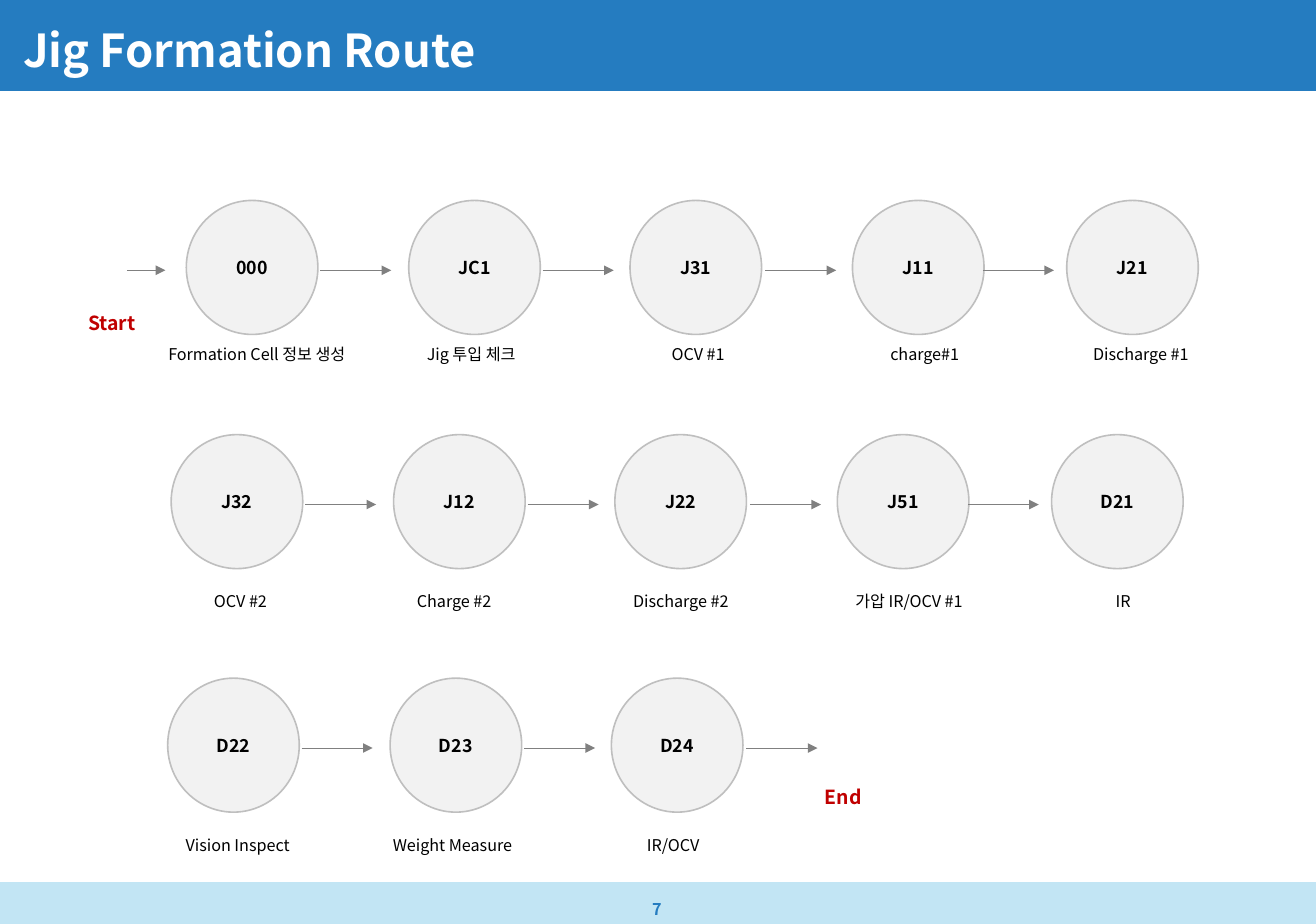
from dataclasses import dataclass

from lxml.etree import SubElement
from pptx import Presentation
from pptx.dml.color import RGBColor
from pptx.enum.shapes import MSO_CONNECTOR as Connector, MSO_SHAPE as Shape
from pptx.enum.text import MSO_ANCHOR as Anchor, MSO_AUTO_SIZE as AutoSize, PP_ALIGN as Align
from pptx.oxml.ns import qn
from pptx.util import Emu, Pt


@dataclass(frozen=True)
class Theme:
    font: str = "Noto Sans CJK KR"
    blue: str = "257CC0"
    pale_blue: str = "C2E5F4"
    white: str = "FFFFFF"
    black: str = "000000"
    red: str = "C00000"
    circle_fill: str = "F2F2F2"
    circle_line: str = "BFBFBF"
    arrow: str = "808080"
    title_size: int = 28
    end_size: int = 12
    code_size: int = 11
    label_size: int = 10


THEME = Theme()
EMU_PER_PX = 9144
SLIDE_WIDTH, SLIDE_HEIGHT = 1130, 793
CIRCLE_WIDTH, CIRCLE_HEIGHT = 113, 115
CIRCLE_OFFSETS = (0, 191, 381, 572, 756)
ARROW_OFFSETS = (115, 306, 497, 684)
ARROW_DROP, ARROW_LENGTH = 60, 61
LABEL_HEIGHT, END_WIDTH, END_HEIGHT = 27, 92, 30

ROUTE = (
    (160, 172, 291, 4, (
        ("000", "Formation Cell 정보 생성", 130, 181),
        ("JC1", "Jig 투입 체크", 352, 105),
        ("J31", "OCV #1", 563, 73),
        ("J11", "charge#1", 752, 84),
        ("J21", "Discharge #1", 925, 109),
    )),
    (147, 373, 503, 4, (
        ("J32", "OCV #2", 170, 73),
        ("J12", "Charge #2", 345, 90),
        ("J22", "Discharge #2", 530, 109),
        ("J51", "가압 IR/OCV #1", 718, 125),
        ("D21", "IR", 948, 33),
    )),
    (144, 582, 712, 3, (
        ("D22", "Vision Inspect", 148, 112),
        ("D23", "Weight Measure", 326, 125),
        ("D24", "IR/OCV", 544, 68),
    )),
)


def px(value):
    return Emu(value * EMU_PER_PX)


def box(*lengths):
    return [px(length) for length in lengths]


def color(value):
    return RGBColor.from_string(value)


def write(shape, text, size, fill=THEME.black, bold=False, align=Align.CENTER,
          anchor=Anchor.TOP, insets=(10, 5, 10, 5), wrap=True, spacing=None,
          auto_size=AutoSize.NONE):
    frame = shape.text_frame
    frame.auto_size = auto_size
    frame.word_wrap = wrap
    frame.vertical_anchor = anchor
    frame.margin_left, frame.margin_top, frame.margin_right, frame.margin_bottom = box(*insets)
    paragraph = frame.paragraphs[0]
    paragraph.alignment = align
    if spacing:
        paragraph.line_spacing = spacing
    run = paragraph.add_run()
    run.text = text
    run.font.size = Pt(size)
    run.font.bold = bold
    run.font.color.rgb = color(fill)
    run.font.name = THEME.font
    SubElement(run.font._element, qn("a:ea"), typeface=THEME.font)


def add_text(slide, bounds, text, size, **style):
    write(slide.shapes.add_textbox(*box(*bounds)), text, size, **style)


def add_filled(slide, kind, bounds, fill, line=None):
    shape = slide.shapes.add_shape(kind, *box(*bounds))
    shape.shadow.inherit = False
    shape.fill.solid()
    shape.fill.fore_color.rgb = color(fill)
    if line:
        shape.line.color.rgb = color(line)
        shape.line.width = Pt(1)
    else:
        shape.line.fill.background()
    return shape


def add_arrow(slide, left, top, length=ARROW_LENGTH):
    arrow = slide.shapes.add_connector(
        Connector.STRAIGHT, *box(left, top, left + length, top))
    arrow.line.color.rgb = color(THEME.arrow)
    arrow.line.width = Pt(0.5)
    SubElement(arrow.line._get_or_add_ln(), qn("a:tailEnd"), type="triangle")
    SubElement(arrow.element.spPr, qn("a:effectLst"))


def add_step(slide, left, top, code):
    circle = add_filled(slide, Shape.OVAL, (left, top, CIRCLE_WIDTH, CIRCLE_HEIGHT),
                        THEME.circle_fill, THEME.circle_line)
    write(circle, code, THEME.code_size, bold=True, anchor=Anchor.MIDDLE, insets=(0, 0, 0, 0))


def add_row(slide, left, top, label_top, arrow_count, steps):
    for offset, (code, label, label_left, label_width) in zip(CIRCLE_OFFSETS, steps):
        add_step(slide, left + offset, top, code)
        add_text(slide, (label_left, label_top, label_width, LABEL_HEIGHT), label,
                 THEME.label_size, wrap=False, auto_size=AutoSize.SHAPE_TO_FIT_TEXT)
    for offset in ARROW_OFFSETS[:arrow_count]:
        add_arrow(slide, left + offset, top + ARROW_DROP)


def add_end(slide, left, top, text):
    add_text(slide, (left, top, END_WIDTH, END_HEIGHT), text, THEME.end_size,
             fill=THEME.red, bold=True, auto_size=AutoSize.SHAPE_TO_FIT_TEXT)


def add_frame(slide):
    title = slide.shapes.title
    for top, height, fill in ((0, 78, THEME.blue), (757, 36, THEME.pale_blue)):
        bar = add_filled(slide, Shape.RECTANGLE, (0, top, SLIDE_WIDTH, height), fill)
        title.element.addprevious(bar.element)
    title.left, title.top, title.width, title.height = box(10, 23, 974, 43)
    write(title, "Jig Formation Route", THEME.title_size, fill=THEME.white, bold=True,
          align=Align.LEFT, anchor=Anchor.BOTTOM, insets=(10, 5, 10, 0), spacing=0.9)
    add_text(slide, (512, 765, 116, 28), "7", THEME.label_size, fill=THEME.blue, bold=True,
             align=Align.LEFT, anchor=Anchor.MIDDLE, insets=(48, 8, 0, 8), spacing=1.1)


def main():
    presentation = Presentation()
    presentation.slide_width, presentation.slide_height = box(SLIDE_WIDTH, SLIDE_HEIGHT)
    slide = presentation.slides.add_slide(presentation.slide_layouts.get_by_name("Title Only"))
    add_frame(slide)
    add_arrow(slide, 109, 232, length=33)
    for row in ROUTE:
        add_row(slide, *row)
    add_end(slide, 50, 262, "Start")
    add_end(slide, 678, 669, "End")
    presentation.save("out.pptx")


if __name__ == "__main__":
    main()
